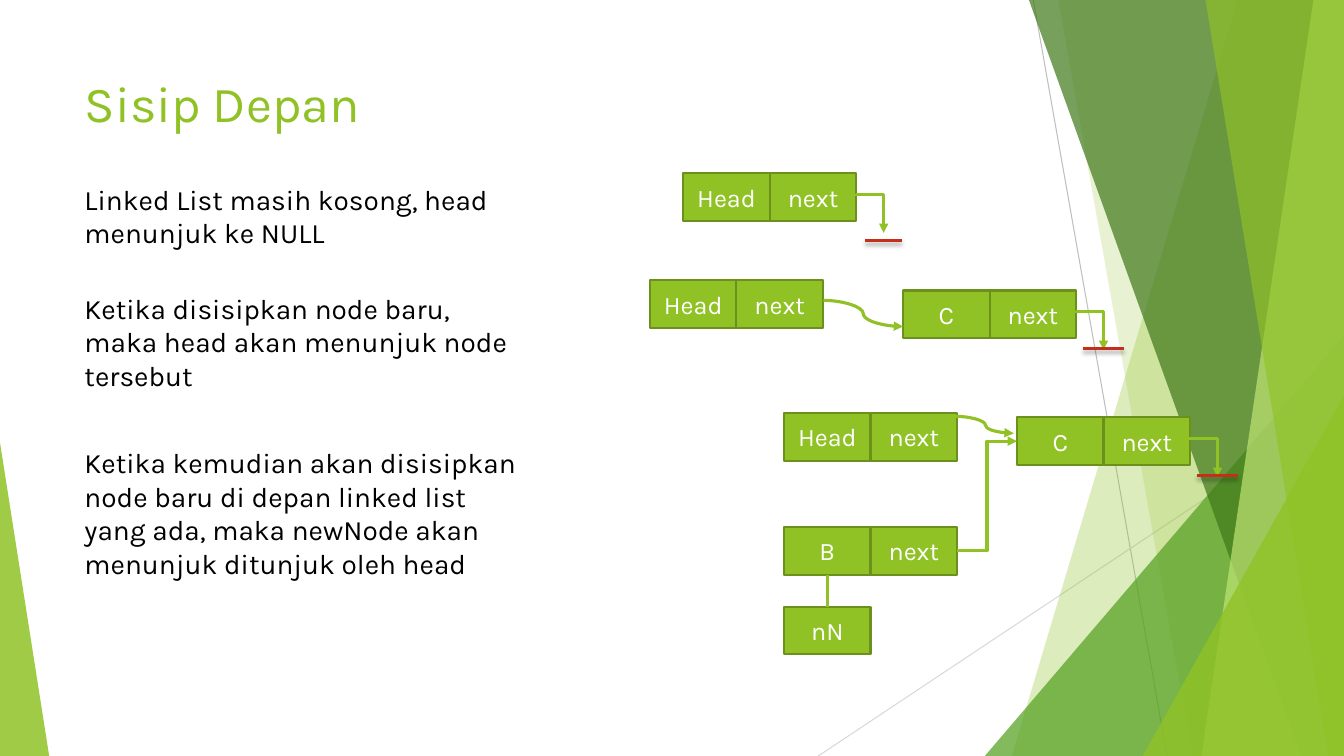
from lxml import etree
from pptx import Presentation
from pptx.dml.color import RGBColor
from pptx.enum.shapes import MSO_CONNECTOR, MSO_SHAPE
from pptx.enum.text import MSO_ANCHOR, MSO_AUTO_SIZE, PP_ALIGN
from pptx.oxml.ns import qn
from pptx.util import Cm, Pt

STRAIGHT, ELBOW, CURVE = MSO_CONNECTOR.STRAIGHT, MSO_CONNECTOR.ELBOW, MSO_CONNECTOR.CURVE
RECTANGLE, TRIANGLE = MSO_SHAPE.RECTANGLE, MSO_SHAPE.ISOSCELES_TRIANGLE
TOP, MIDDLE = MSO_ANCHOR.TOP, MSO_ANCHOR.MIDDLE
LEFT, CENTER = PP_ALIGN.LEFT, PP_ALIGN.CENTER
GROW = MSO_AUTO_SIZE.SHAPE_TO_FIT_TEXT
SIDE_TOP, SIDE_LEFT, SIDE_BOTTOM, SIDE_RIGHT = range(4)

GREEN = RGBColor(0x90, 0xC2, 0x26)
GREEN_EDGE = RGBColor(0x6B, 0x90, 0x1C)
MID_GREEN = RGBColor(0x54, 0xA0, 0x21)
DARK_GREEN = RGBColor(0x3F, 0x78, 0x19)
PALE_GREEN = RGBColor(0xC0, 0xE4, 0x74)
RED = RGBColor(0xC4, 0x2F, 0x1A)
GREY = RGBColor(0xBF, 0xBF, 0xBF)
LIGHT_GREY = RGBColor(0xD9, 0xD9, 0xD9)
BLACK = RGBColor(0, 0, 0)
WHITE = RGBColor(0xFF, 0xFF, 0xFF)

FONT = "Karla"
SLIDE_WIDTH, SLIDE_HEIGHT = 33.87, 19.05
CELL_WIDTH, CELL_HEIGHT = 2.18, 1.2


class ListSlide:
    """Draws linked-list diagrams; all lengths are in centimetres."""

    def __init__(self, presentation):
        self.slide = presentation.slides.add_slide(presentation.slide_layouts[5])
        self.shapes = self.slide.shapes

    def set_text(self, shape, text, size, color, align=LEFT, anchor=TOP):
        frame = shape.text_frame
        frame.text = text
        frame.word_wrap = True
        frame.vertical_anchor = anchor
        paragraph = frame.paragraphs[0]
        paragraph.alignment = align
        font = paragraph.runs[0].font
        font.name, font.size, font.color.rgb = FONT, Pt(size), color

    def place(self, shape, left, top, width, height):
        shape.left, shape.top = Cm(left), Cm(top)
        shape.width, shape.height = Cm(width), Cm(height)

    def title(self, text, *box):
        title = self.shapes.title
        self.place(title, *box)
        self.set_text(title, text, 36, GREEN)

    def note(self, text, *box):
        note = self.shapes.add_textbox(*map(Cm, box))
        self.set_text(note, text, 20, BLACK)
        note.text_frame.auto_size = GROW

    def tint(self, shape, color, opacity):
        shape.shadow.inherit = False
        shape.line.fill.background()
        shape.fill.solid()
        shape.fill.fore_color.rgb = color
        for value in shape.element.spPr.iter(qn("a:srgbClr")):
            etree.SubElement(value, qn("a:alpha")).set("val", str(opacity * 1000))

    def band(self, top_x, bottom_x, color, opacity):
        """Band from a slanted left edge to the right edge of the slide."""
        builder = self.shapes.build_freeform(Cm(top_x), 0, scale=1.0)
        corners = [(SLIDE_WIDTH, 0), (SLIDE_WIDTH, SLIDE_HEIGHT), (bottom_x, SLIDE_HEIGHT)]
        builder.add_line_segments([(Cm(x), Cm(y)) for x, y in corners], close=True)
        self.tint(builder.convert_to_shape(), color, opacity)

    def corner(self, left, top, width, apex, color, opacity):
        """Triangle standing on the bottom edge of the slide."""
        box = (left, top, width, SLIDE_HEIGHT - top)
        triangle = self.shapes.add_shape(TRIANGLE, *map(Cm, box))
        triangle.adjustments[0] = apex
        self.tint(triangle, color, opacity)

    def line(self, begin, end, color=GREEN, width=2.25, kind=STRAIGHT, arrow=False, bend=None):
        connector = self.shapes.add_connector(kind, *map(Cm, begin + end))
        connector.line.color.rgb = color
        connector.line.width = Pt(width)
        properties = connector.element.spPr
        if arrow:
            outline = properties.find(qn("a:ln"))
            etree.SubElement(outline, qn("a:tailEnd")).set("type", "triangle")
        if bend is not None:
            values = properties.find(qn("a:prstGeom")).find(qn("a:avLst"))
            guide = etree.SubElement(values, qn("a:gd"))
            guide.set("name", "adj1")
            guide.set("fmla", f"val {round(bend * 100000)}")
        etree.SubElement(properties, qn("a:effectLst"))
        return connector

    def link(self, start, start_side, target, target_side, **style):
        connector = self.line((0, 0), (1, 1), **style)
        connector.begin_connect(start, start_side)
        connector.end_connect(target, target_side)

    def node(self, left, top, *labels):
        cells = []
        for column, label in enumerate(labels):
            box = (left + column * CELL_WIDTH, top, CELL_WIDTH, CELL_HEIGHT)
            cell = self.shapes.add_shape(RECTANGLE, *map(Cm, box))
            cell.shadow.inherit = False
            cell.fill.solid()
            cell.fill.fore_color.rgb = GREEN
            cell.line.color.rgb = GREEN_EDGE
            cell.line.width = Pt(1.5)
            self.set_text(cell, label, 18, WHITE, CENTER, MIDDLE)
            cells.append(cell)
        return cells

    def null_pointer(self, left, top, bar_drop, bar_width):
        """Bent arrow from a node's right side down to a red bar."""
        run, drop = 0.69, 0.94
        start_x, start_y = left + 2 * CELL_WIDTH, top + 0.56
        center_x, center_y = start_x + run / 2, start_y + drop / 2
        arrow = self.line((center_x + drop / 2, center_y - run / 2),
                          (center_x - drop / 2, center_y + run / 2),
                          kind=ELBOW, arrow=True, bend=-0.04)
        arrow.element.spPr.find(qn("a:xfrm")).set("rot", str(270 * 60000))

        tip_x, bar_y = start_x + run, top + bar_drop
        bar = self.line((tip_x - bar_width / 2, bar_y), (tip_x + bar_width / 2, bar_y), RED, 2)
        effects = bar.element.spPr.find(qn("a:effectLst"))
        shadow = etree.SubElement(effects, qn("a:outerShdw"), blurRad=str(Pt(3)),
                                  dist=str(Pt(2)), dir=str(90 * 60000), rotWithShape="0")
        color = etree.SubElement(shadow, qn("a:srgbClr"), val=str(BLACK))
        etree.SubElement(color, qn("a:alpha"), val="35000")


def main():
    presentation = Presentation()
    presentation.slide_width, presentation.slide_height = Cm(SLIDE_WIDTH), Cm(SLIDE_HEIGHT)
    page = ListSlide(presentation)

    # Background facets
    page.line((26.04, 0), (29.41, SLIDE_HEIGHT), GREY, 0.75)
    page.line((SLIDE_WIDTH, 10.24), (20.62, SLIDE_HEIGHT), LIGHT_GREY, 0.75)
    page.band(31.19, 25.5, GREEN, 30)
    page.band(26.67, 30.05, GREEN, 20)
    page.corner(24.82, 8.46, 9.05, 1, MID_GREEN, 72)
    page.band(25.93, 32.79, DARK_GREEN, 70)
    page.band(33.1, 30.28, PALE_GREEN, 70)
    page.band(30.38, 33.48, GREEN, 65)
    page.corner(28.8, 9.98, 5.07, 1, GREEN, 80)
    page.corner(0, 11.15, 1.24, 0, GREEN, 85)

    # Title and explanations
    page.title("Sisip Depan", 1.88, 1.7, 23.88, 3.66)
    notes = [
        (4.47, 1.96, "Linked List masih kosong, head menunjuk ke NULL"),
        (7.21, 2.82, "Ketika disisipkan node baru, maka head akan menunjuk node tersebut"),
        (11.1, 3.68, "Ketika kemudian akan disisipkan node baru di depan linked list "
                     "yang ada, maka newNode akan menunjuk ditunjuk oleh head"),
    ]
    for top, height, text in notes:
        page.note(text, 1.88, top, 11.56, height)

    # Empty list
    page.node(17.22, 4.37, "Head", "next")
    page.null_pointer(17.22, 4.37, 1.7, 0.92)

    # List with one node
    page.node(16.38, 7.06, "Head", "next")
    page.node(22.76, 7.32, "C", "next")
    page.null_pointer(22.76, 7.32, 1.47, 1.04)
    page.line((20.75, 7.57), (22.76, 8.23), kind=CURVE, arrow=True)

    # New node in front of the list
    page.node(19.76, 10.41, "Head", "next")
    first_data, _ = page.node(25.63, 10.52, "C", "next")
    page.null_pointer(25.63, 10.52, 1.47, 1.04)
    page.line((24.05, 10.49), (25.55, 10.92), kind=CURVE, arrow=True, bend=0.52)
    new_data, new_next = page.node(19.76, 13.28, "B", "next")
    new_name, = page.node(19.76, 15.29, "nN")
    page.link(new_name, SIDE_TOP, new_data, SIDE_BOTTOM)
    page.link(new_next, SIDE_RIGHT, first_data, SIDE_LEFT, kind=ELBOW, arrow=True)

    presentation.save("out.pptx")


if __name__ == "__main__":
    main()
